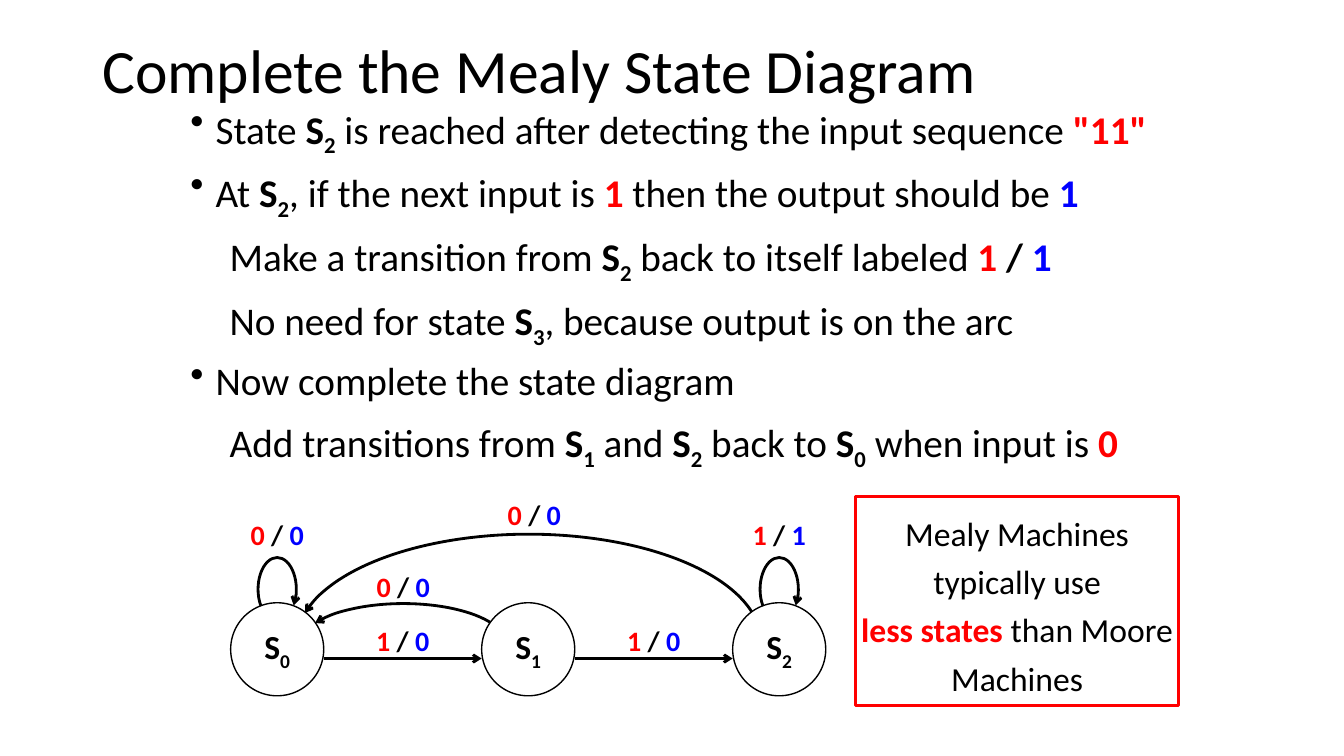
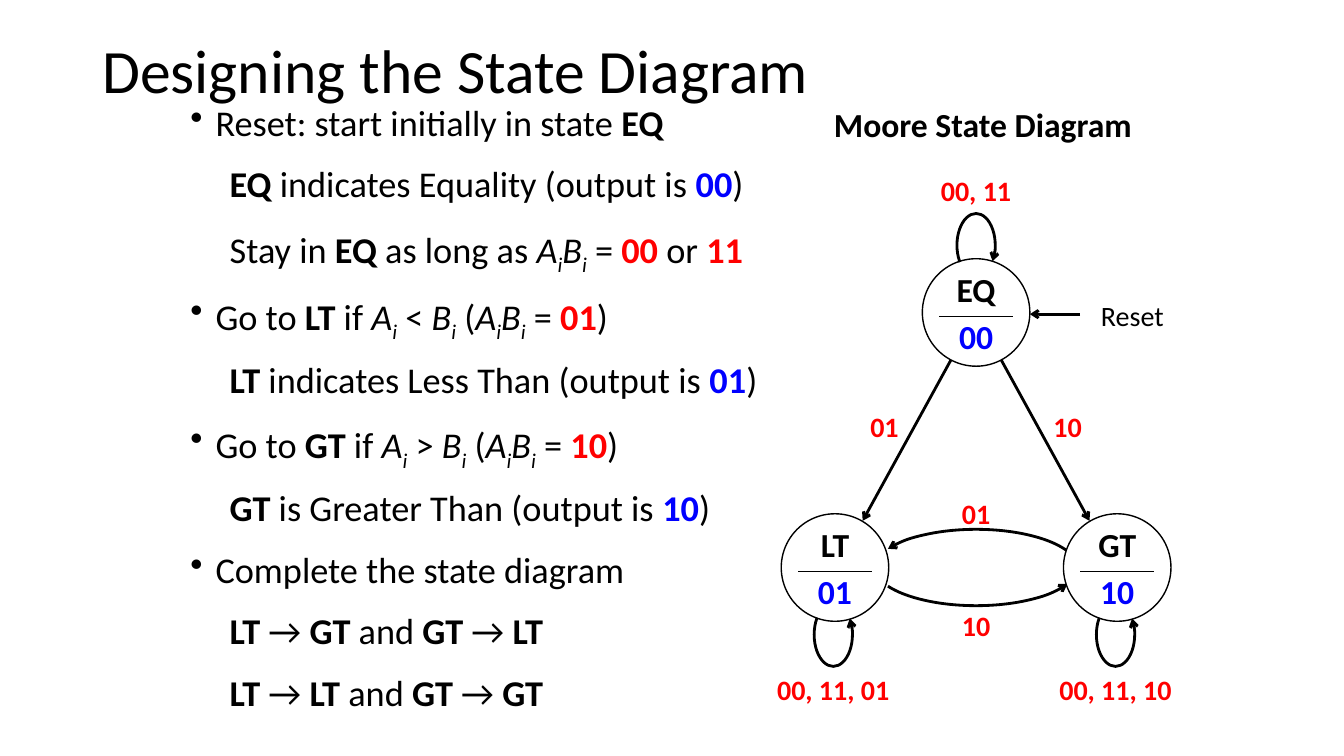
from itertools import groupby

from lxml.etree import SubElement
from pptx import Presentation
from pptx.dml.color import RGBColor
from pptx.enum.shapes import MSO_CONNECTOR, MSO_SHAPE
from pptx.enum.text import MSO_ANCHOR, PP_ALIGN
from pptx.oxml.ns import qn
from pptx.util import Inches, Pt

COLS, ROWS = 80, 45
WIDE, HIGH = Inches(13.333), Inches(7.5)
CELL = HIGH / ROWS
FONT = "Calibri"
HUES = {"ink": "000000", "red": "FF0000", "blue": "0000FF", "white": "FFFFFF"}

# Each mark switches its style on or off within a line of text.
MARKS = {"*": "bold", "~": "italic", "_": "sub", "^": "red", "|": "blue"}

FLUSH = dict.fromkeys(
    ("margin_left", "margin_top", "margin_right", "margin_bottom"), 0)
MID = {"alignment": PP_ALIGN.CENTER}
LOOP = (133.8, 44.3)
BOW = (193, 348.8)

MEALY = [
    '• State *S_2_* is reached after detecting the input sequence ^"11"^',
    "• At *S_2_*, if the next input is ^1^ then the output should be |1|",
    "Make a transition from *S_2_* back to itself labeled ^1^* / *|1|",
    "No need for state *S_3_*, because output is on the arc",
    "• Now complete the state diagram",
    "Add transitions from *S_1_* and *S_2_* back to *S_0_* when input is ^0^",
]
MOORE = [
    "• Reset: start initially in state *EQ*",
    "*EQ* indicates Equality (output is |00|)",
    "Stay in *EQ* as long as ~A_i_B_i_~ = ^00^ or ^11^",
    "• Go to *LT* if ~A_i_~ < ~B_i_~ (~A_i_B_i_~ = ^01^)",
    "*LT* indicates Less Than (output is |01|)",
    "• Go to *GT* if ~A_i_~ > ~B_i_~ (~A_i_B_i_~ = ^10^)",
    "*GT* is Greater Than (output is |10|)",
    "• Complete the state diagram",
    "*LT* → *GT* and *GT* → *LT*",
    "*LT* → *LT* and *GT* → *GT*",
]


def grid(*cells):
    return [round(c * CELL) for c in cells]


def hue(name):
    return RGBColor.from_string(HUES[name])


def style(obj, form):
    for key, val in form.items():
        setattr(obj, key, val)


def write(para, text, size):
    """Add the runs of a marked-up line."""
    live = set()
    for mark, part in groupby(text, lambda c: c in MARKS):
        if mark:
            live ^= {MARKS[c] for c in part}
            continue
        run = para.add_run()
        run.text = "".join(part)
        tint = next((c for c in ("red", "blue") if c in live), "ink")
        style(run.font, {"name": FONT, "size": Pt(size),
                         "bold": bool(live & {"bold", "red", "blue"}),
                         "italic": "italic" in live})
        run.font.color.rgb = hue(tint)
        if "sub" in live:
            run.font._element.set("baseline", "-25000")


def fill(shape, lines, size, form=None, gap=0, **frame):
    """Put lines in a shape, with gap points between paragraphs."""
    text = shape.text_frame
    style(text, {"word_wrap": True, **frame})
    for i, line in enumerate(lines):
        para = text.paragraphs[0] if i == 0 else text.add_paragraph()
        style(para, form or {})
        if i:
            para.space_before = Pt(gap)
        yield para, line
        write(para, line.removeprefix("• "), size)


def put(shape, lines, size, form=None, gap=0, **frame):
    for _ in fill(shape, lines, size, form, gap, **frame):
        pass


def title(page, text):
    box = page.shapes.add_textbox(*grid(5.5, 0, 69, 8.7))
    put(box, [text], 44, {"line_spacing": 0.9},
        vertical_anchor=MSO_ANCHOR.MIDDLE)


def body(page, area, lines, size, lead, gap):
    """Bulleted points, with plain lines set in below them."""
    box = page.shapes.add_textbox(*grid(*area))
    for para, line in fill(box, lines, size, {"line_spacing": lead}, gap):
        prop = para._p.get_or_add_pPr()
        dot = line.startswith("•")
        prop.set("marL", str(Inches(0.25 if dot else 0.39)))
        prop.set("indent", str(Inches(-0.25 if dot else 0)))
        if dot:
            SubElement(prop, qn("a:buChar"), char="•")
        else:
            SubElement(prop, qn("a:buNone"))


def label(page, x, y, text, size=20):
    """Text centred on a point."""
    box = page.shapes.add_textbox(*grid(x - 10, y - 1.5, 20, 3))
    put(box, [text], size, MID, vertical_anchor=MSO_ANCHOR.MIDDLE, **FLUSH)


def form(page, kind, area, tint="ink", width=2, paint=None):
    shape = page.shapes.add_shape(kind, *grid(*area))
    shape.shadow.inherit = False
    if paint:
        shape.fill.solid()
        shape.fill.fore_color.rgb = hue(paint)
    else:
        shape.fill.background()
    shape.line.color.rgb = hue(tint)
    shape.line.width = Pt(width)
    return shape


def tip(shape, end):
    SubElement(shape.line._get_or_add_ln(), qn(f"a:{end}End"), type="arrow")


def arc(page, x, y, wide, high, span, end, down=False):
    """Arrowed arc about a point; down mirrors it top to bottom."""
    if down:
        span = [360 - a for a in reversed(span)]
        end = "head" if end == "tail" else "tail"
    area = (x - wide / 2, y - high / 2, wide, high)
    shape = form(page, MSO_SHAPE.ARC, area)
    for i, turn in enumerate(span):
        shape.adjustments[i] = turn * 0.6
    tip(shape, end)


def loop(page, x, y, rad, text, down=False):
    """Arrow from a state back to itself, with its label."""
    side = 1 if down else -1
    arc(page, x, y + side * (rad + 0.8), 2.28, 3.78, LOOP, "tail", down)
    label(page, x, y + side * (rad + 4.05), text)


def line(page, ends, width=2, arrow=True):
    wire = page.shapes.add_connector(MSO_CONNECTOR.STRAIGHT, *grid(*ends))
    wire.line.color.rgb = hue("ink")
    wire.line.width = Pt(width)
    if arrow:
        tip(wire, "tail")
    SubElement(wire.element.spPr, qn("a:effectLst"))


def state(page, x, y, rad, lines, after):
    area = (x - rad, y - rad, 2 * rad, 2 * rad)
    disc = form(page, MSO_SHAPE.OVAL, area, width=1, paint="white")
    put(disc, lines, 24, {**MID, "space_after": Pt(after)},
        vertical_anchor=MSO_ANCHOR.MIDDLE, **FLUSH)
    if len(lines) > 1:
        disc.text_frame.paragraphs[-1].space_after = Pt(0)
        line(page, (x - 2.2, y + 0.24, x + 2.2, y + 0.24), 1, False)


def mealy(page):
    title(page, "Complete the Mealy State Diagram")
    body(page, (10.74, 6.24, 60.24, 21.84), MEALY, 28, 0.8, 15)
    rad, left, step, y = 2.77, 16.5, 14.94, 38.65
    nodes = [left + i * step for i in range(3)]
    zero, one = "^0 ^*/ *|0|", "^1 ^*/ *|0|"
    arc(page, 24, 38.3, 12.2, 4.74, BOW, "head")
    label(page, 24, 34.9, zero)
    arc(page, 31.47, 38.22, 27.66, 12.84, (187.4, 352.6), "head")
    label(page, 31.8, 30.6, zero)
    for i, x in enumerate(nodes):
        state(page, x, y, rad, [f"*S_{i}_*"], 10)
    for x in nodes[:2]:
        line(page, (x + rad, 39.2, x + step - rad, 39.2))
        label(page, x + step / 2, 38.1, one)
    loop(page, nodes[0], y, rad, zero)
    loop(page, nodes[2], y, rad, "^1 ^*/ *|1|")
    note = form(page, MSO_SHAPE.RECTANGLE, (50.94, 29.58, 19.2, 12.42), "red")
    put(note, ["Mealy Machines typically use",
               "^less states ^than Moore Machines"], 24,
        {**MID, "line_spacing": 1.2},
        vertical_anchor=MSO_ANCHOR.MIDDLE, **FLUSH)


def moore(page):
    title(page, "Designing the State Diagram")
    body(page, (10.74, 5.94, 36.84, 36.6), MOORE, 25.9, 0.9, 16)
    label(page, 58.5, 7.4, "*Moore State Diagram*", 24)
    rad, mid, top, low = 3.2, 58.1, 18.6, 33.78
    for side, code, name, own in ((-1, "01", "LT", "00, 11, 01"),
                                  (1, "10", "GT", "00, 11, 10")):
        x = mid + side * 8.4
        line(page, (mid, top + 0.1, mid + side * 6.75, 31))
        label(page, mid + side * 5.45, 25.35, f"^{code}^")
        arc(page, mid, low - side * 0.1, 12.2, 4.74, BOW, "head" if side < 0
            else "tail", side > 0)
        label(page, mid, 33.87 + side * 3.33, f"^{code}^")
        state(page, x, low, rad, [f"*{name}*", f"|{code}|"], 5)
        loop(page, x - 0.1, low, rad, f"^{own}^", True)
    state(page, mid, top, rad, ["*EQ*", "|00|"], 5)
    loop(page, mid, top, rad, "^00, 11^")
    line(page, (64.3, 18.7, mid + rad, 18.7))
    label(page, 67.4, 18.75, "Reset")


def main():
    deck = Presentation()
    style(deck, {"slide_width": WIDE, "slide_height": HIGH})
    for draw in (mealy, moore):
        draw(deck.slides.add_slide(deck.slide_layouts[6]))
    deck.save("out.pptx")


if __name__ == "__main__":
    main()
